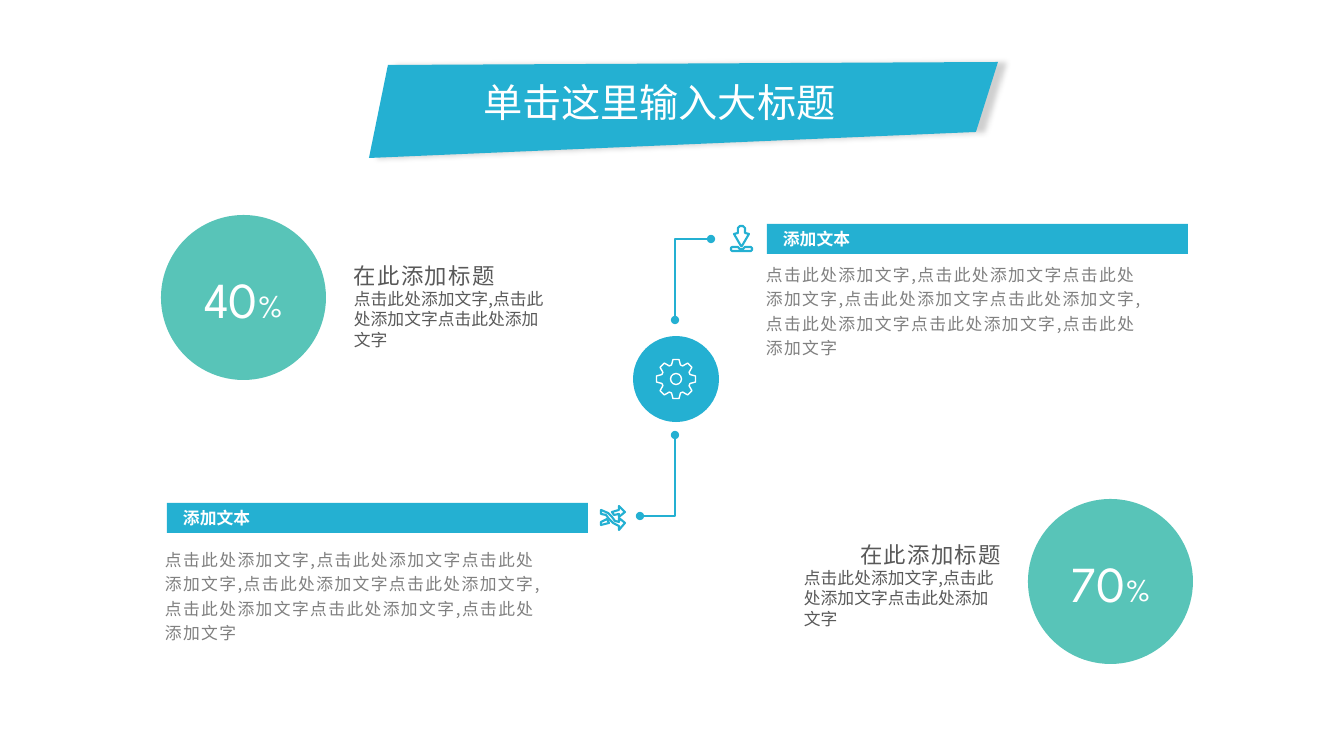
from math import cos, pi, sin

from lxml.etree import SubElement
from pptx import Presentation
from pptx.dml.color import RGBColor
from pptx.enum.shapes import MSO_SHAPE
from pptx.enum.text import MSO_ANCHOR, PP_ALIGN
from pptx.oxml.ns import qn
from pptx.util import Emu, Pt

PX = 914400 / 100.8  # EMU in one pixel
BLUE = RGBColor(0x24, 0xB0, 0xD2)
TEAL = RGBColor(0x58, 0xC4, 0xB8)
WHITE = RGBColor(0xFF, 0xFF, 0xFF)
DARK_GREY = RGBColor(0x59, 0x59, 0x59)
GREY = RGBColor(0x80, 0x80, 0x80)
CJK = "Noto Sans CJK SC"
NUMERAL = "League Spartan"

PHRASE = "点击此处添加文字"
SHORT_TEXT = ",".join([PHRASE, PHRASE * 2])
LONG_TEXT = ",".join([PHRASE, PHRASE * 2, PHRASE * 2, PHRASE * 2, PHRASE])

TRAY = [(731, 248), (732, 247), (738, 247), (740, 249), (743, 249), (745, 247),
        (751, 247), (752, 248), (752, 250), (751, 251), (732, 251), (731, 250)]
DOWN_ARROW = [(741, 246), (734, 234), (738, 233), (738, 228), (740, 226), (743, 226),
              (745, 228), (745, 233), (749, 234), (742, 246)]
FALLING_ARROW = [(619, 530), (619, 526), (613, 523), (609, 519), (606, 515), (601, 514),
                 (601, 510), (608, 513), (612, 517), (615, 521), (619, 522), (619, 518),
                 (625, 523)]
RISING_ARROW = [(619, 514), (619, 517), (625, 512), (619, 506), (619, 510), (612, 512),
                (614, 515)]
RISING_TAIL = [(601, 525), (601, 522), (607, 519), (609, 523)]


def px(length):
    return Emu(round(length * PX))


def write(frame, text, size, color, font=CJK, bold=False, spacing=0,
          align=PP_ALIGN.LEFT, line_spacing=None):
    """Append a run to the first paragraph of a text frame."""
    paragraph = frame.paragraphs[0]
    paragraph.alignment = align
    if line_spacing:
        paragraph.line_spacing = line_spacing
    run = paragraph.add_run()
    run.text = text
    run.font.size = Pt(size)
    run.font.bold = bold
    run.font.color.rgb = color
    run.font.name = font
    properties = run.font._element
    properties.set("lang", "zh-CN")
    if spacing:
        properties.set("spc", str(spacing * 100))
    SubElement(properties, qn("a:ea"), typeface=font)


def paint(shape, fill=None, line=None, width=1):
    shape.shadow.inherit = False
    if fill is None:
        shape.fill.background()
    else:
        shape.fill.solid()
        shape.fill.fore_color.rgb = fill
    if line is None:
        shape.line.fill.background()
    else:
        shape.line.color.rgb = line
        shape.line.width = Pt(width)
    return shape


def add_preset(slide, kind, box, **style):
    return paint(slide.shapes.add_shape(kind, *map(px, box)), **style)


def add_outline(slide, points, close=True, **style):
    start, *rest = [(px(x), px(y)) for x, y in points]
    builder = slide.shapes.build_freeform(*start)
    builder.add_line_segments(rest, close=close)
    return paint(builder.convert_to_shape(), **style)


def add_text(slide, box, text, size, color, **style):
    frame = slide.shapes.add_textbox(*map(px, box)).text_frame
    frame.word_wrap = True
    write(frame, text, size, color, **style)


def add_title(slide, text):
    # Banner goes behind the title placeholder
    banner = add_outline(slide, [(388, 65), (369, 158), (976, 132), (998, 62)], fill=BLUE)
    effects = banner.element.spPr.find(qn("a:effectLst"))
    shadow = SubElement(effects, qn("a:outerShdw"), blurRad=str(Pt(4)), dist=str(Pt(6)),
                        dir="0", algn="l", rotWithShape="0")
    black = SubElement(shadow, qn("a:srgbClr"), val="000000")
    SubElement(black, qn("a:alpha"), val="19000")
    title = slide.shapes.title
    title.element.addprevious(banner.element)
    title.left, title.top, title.width, title.height = map(px, (473, 73, 377, 57))
    title.text_frame.word_wrap = False
    title.text_frame.vertical_anchor = MSO_ANCHOR.TOP
    write(title.text_frame, text, 28, WHITE)


def add_branch(slide, points):
    """Bent line with a dot at each end."""
    branch = add_outline(slide, points, close=False, line=BLUE)
    for end in ("a:headEnd", "a:tailEnd"):
        SubElement(branch.line._ln, qn(end), type="oval")


def add_gear_hub(slide, x, y):
    add_preset(slide, MSO_SHAPE.OVAL, (x - 43, y - 43, 86, 86), fill=BLUE)
    tooth = [(-4.5, -14), (-3, -19.5), (3, -19.5), (4.5, -14)]
    angles = [step * pi / 4 for step in range(8)]
    teeth = [(x + u * cos(a) - v * sin(a), y + u * sin(a) + v * cos(a))
             for a in angles for u, v in tooth]
    add_outline(slide, teeth, line=WHITE)
    add_preset(slide, MSO_SHAPE.OVAL, (x - 5.5, y - 5.5, 11, 11), line=WHITE)


def add_percentage(slide, left, top, number):
    circle = add_preset(slide, MSO_SHAPE.OVAL, (left, top, 165, 165), fill=TEAL)
    frame = circle.text_frame
    frame.margin_left = frame.margin_right = frame.margin_bottom = 0
    frame.margin_top = px(2)
    frame.vertical_anchor = MSO_ANCHOR.MIDDLE
    for text, size in ((number, 36), ("%", 24)):
        write(frame, text, size, WHITE, font=NUMERAL, align=PP_ALIGN.CENTER)


def add_label_bar(slide, left, top, text):
    bar = add_preset(slide, MSO_SHAPE.RECTANGLE, (left, top, 421, 30), fill=BLUE)
    frame = bar.text_frame
    frame.margin_left = px(16)
    frame.margin_top = frame.margin_bottom = 0
    frame.vertical_anchor = MSO_ANCHOR.MIDDLE
    write(frame, text, 12, WHITE, bold=True, align=PP_ALIGN.JUSTIFY)


def add_icon(slide, *outlines):
    for points in outlines:
        add_outline(slide, points, line=BLUE, width=1.5)


def main():
    presentation = Presentation()
    presentation.slide_width, presentation.slide_height = px(1344), px(756)
    slide = presentation.slides.add_slide(presentation.slide_layouts[5])
    add_title(slide, "单击这里输入大标题")

    # Central hub and its two branches
    add_gear_hub(slide, 676, 379)
    add_branch(slide, [(675, 320), (675, 239), (711, 239)])
    add_branch(slide, [(675, 435), (675, 516), (640, 516)])

    # Labelled paragraphs
    for left, top, box in ((767, 224, (756, 256, 397, 108)),
                           (167, 503, (155, 541, 406, 132))):
        add_label_bar(slide, left, top, "添加文本")
        add_text(slide, box, LONG_TEXT, 12, GREY, spacing=1, line_spacing=1.2)
    add_icon(slide, TRAY, DOWN_ARROW)
    add_icon(slide, FALLING_ARROW, RISING_ARROW, RISING_TAIL)

    # Percentages with their captions
    for number, circle_left, circle_top, text_left, heading_left, align in (
            ("40", 161, 215, 344, 344, PP_ALIGN.LEFT),
            ("70", 1028, 499, 794, 781, PP_ALIGN.RIGHT)):
        add_percentage(slide, circle_left, circle_top, number)
        heading_top = 257 if number == "40" else 536
        add_text(slide, (text_left, heading_top + 27, 218, 72), SHORT_TEXT, 12, DARK_GREY)
        add_text(slide, (heading_left, heading_top, 230, 37), "在此添加标题", 16,
                 DARK_GREY, spacing=1, align=align)

    presentation.save("out.pptx")


main()
